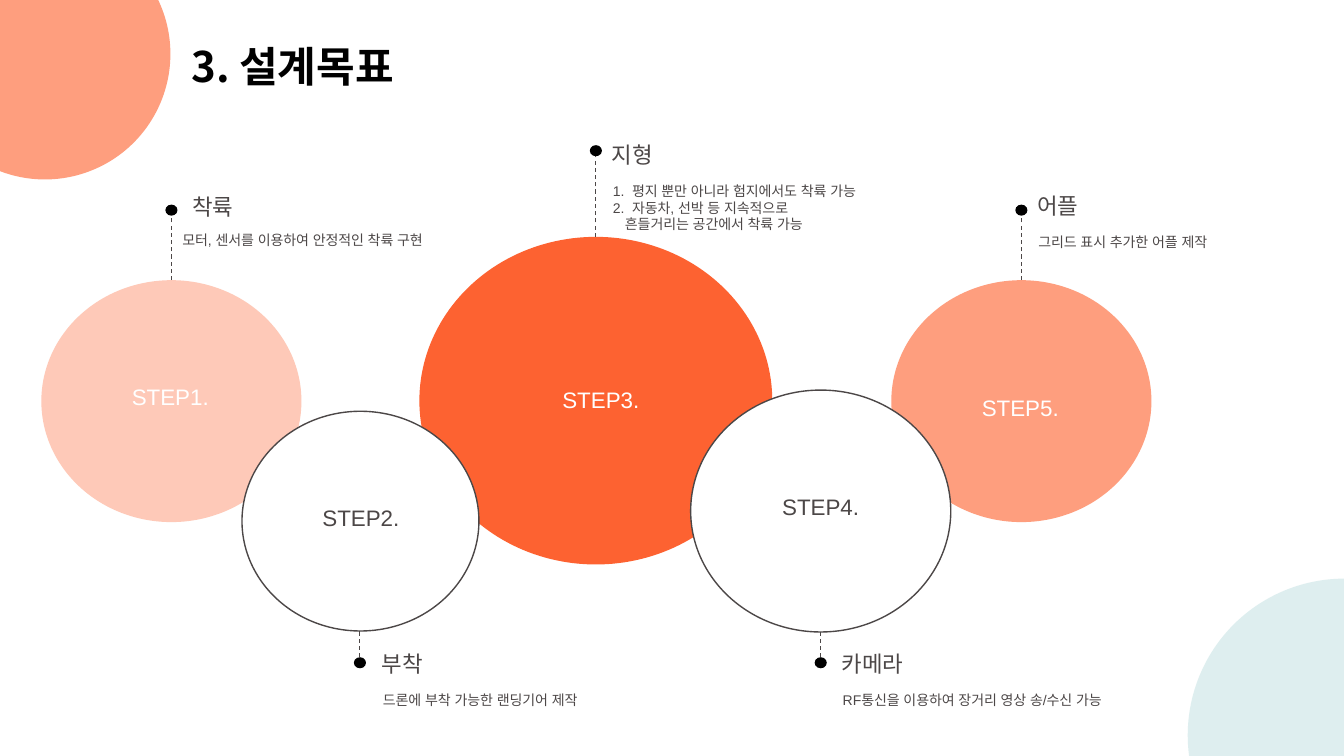
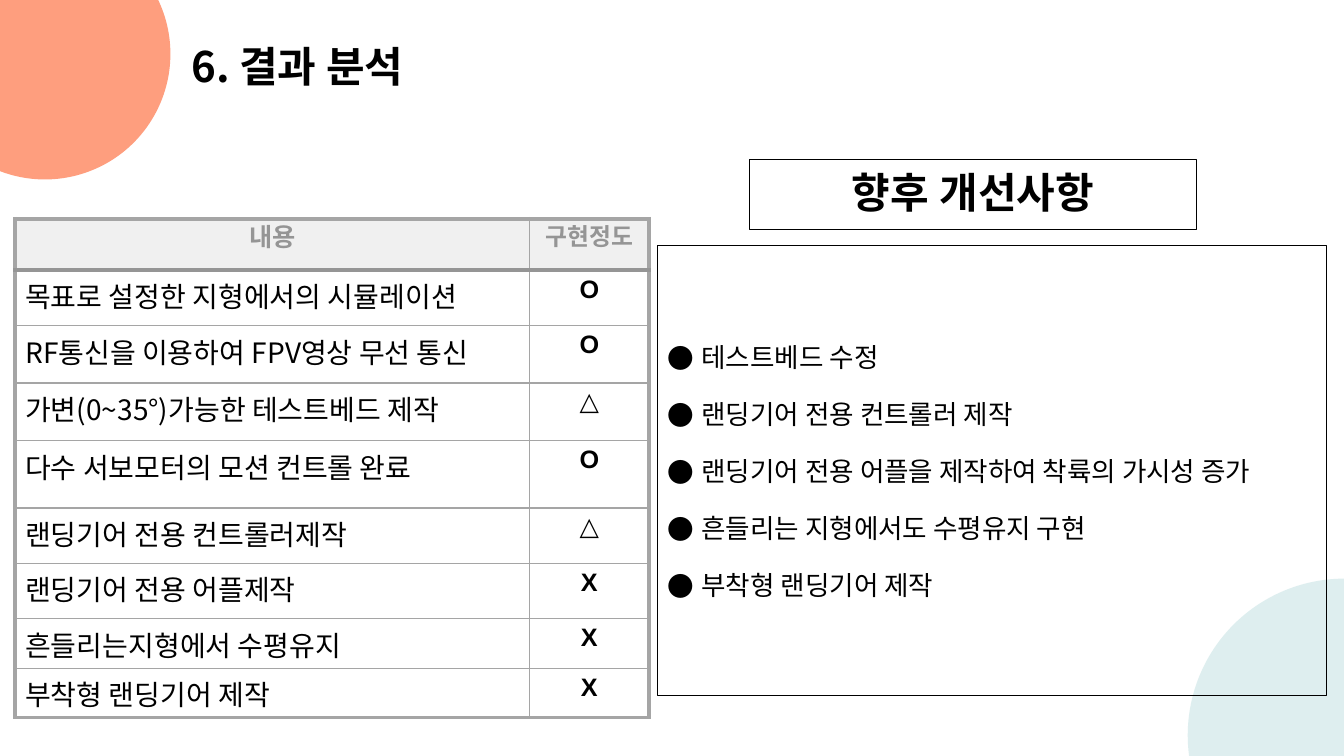
from dataclasses import dataclass

from lxml.etree import SubElement
from pptx import Presentation
from pptx.dml.color import RGBColor
from pptx.enum.dml import MSO_LINE
from pptx.enum.shapes import MSO_CONNECTOR, MSO_SHAPE
from pptx.enum.text import MSO_ANCHOR, MSO_AUTO_SIZE, PP_ALIGN
from pptx.oxml.ns import qn
from pptx.util import Emu, Pt

EMU_PER_PX = 9144
BLACK, WHITE, INK = "000000", "FFFFFF", "4C4747"
CORAL, ORANGE, BLUSH, TEAL = "FE9E7E", "FD6231", "FEC9B8", "C8E4E5"
GRID, HEAD_INK, HEAD_FILL = "A5A5A5", "959595", "F0F0F0"
SANS, KOREAN, HEADING = "Arial", "Noto Sans CJK KR", "Roboto"

STYLES = {
    "title": {"name": KOREAN, "size": Pt(30), "bold": True},
    "heading": {"name": HEADING, "size": Pt(30), "bold": True},
    "step": {"name": SANS, "size": Pt(16)},
    "detail": {"name": SANS, "size": Pt(10)},
    "bullet": {"name": KOREAN, "size": Pt(19)},
    "head": {"name": SANS, "size": Pt(18), "bold": True},
    "head_small": {"name": SANS, "size": Pt(17), "bold": True},
    "item": {"name": KOREAN, "size": Pt(20), "bold": False},
    "mark": {"name": SANS, "size": Pt(18), "bold": True},
}


@dataclass(frozen=True)
class Box:
    x: int
    y: int
    w: int
    h: int


@dataclass(frozen=True)
class Para:
    text: str
    margin: int = 0
    indent: int = 0
    number: int = 0
    bullet: str = ""


@dataclass(frozen=True)
class Step:
    label: str
    circle: Box
    fill: str
    label_x: int
    label_y: int
    dot_y: int
    name: str
    name_x: int
    name_y: int
    detail: Box
    paras: tuple[Para, ...]

    @property
    def outlined(self):
        return self.fill == WHITE

    @property
    def below(self):
        return self.dot_y > self.circle.y


STEPS = (
    Step("STEP1.", Box(41, 278, 258, 240), BLUSH, 106, 375, 203, "착륙", 181, 187,
         Box(171, 225, 355, 26), (Para("모터, 센서를 이용하여 안정적인 착륙 구현"),)),
    Step("STEP3.", Box(416, 235, 350, 325), ORANGE, 533, 378, 144, "지형", 597, 135,
         Box(598, 176, 352, 60),
         (Para("평지 뿐만 아니라 험지에서도 착륙 가능", 19, -19, 1),
          Para("자동차, 선박 등 지속적으로", 19, -19, 2),
          Para("흔들거리는 공간에서 착륙 가능", 12))),
    Step("STEP5.", Box(884, 278, 258, 240), CORAL, 949, 386, 203, "어플", 1019, 186,
         Box(1020, 227, 257, 27), (Para("그리드 표시 추가한 어플 제작"),)),
    Step("STEP2.", Box(240, 408, 235, 218), WHITE, 295, 495, 652, "부착", 369, 640,
         Box(370, 681, 293, 26), (Para("드론에 부착 가능한 랜딩기어 제작"),)),
    Step("STEP4.", Box(685, 387, 258, 240), WHITE, 751, 484, 652, "카메라", 825, 640,
         Box(826, 681, 379, 26), (Para("RF통신을 이용하여 장거리 영상 송/수신 가능"),)),
)

RESULTS = (
    ("내용", "구현정도", 51),
    ("목표로 설정한 지형에서의 시뮬레이션", "O", 55),
    ("RF통신을 이용하여 FPV영상 무선 통신", "O", 57),
    ("가변(0~35°)가능한 테스트베드 제작", "△", 57),
    ("다수 서보모터의 모션 컨트롤 완료", "O", 67),
    ("랜딩기어 전용 컨트롤러제작", "△", 55),
    ("랜딩기어 전용 어플제작", "X", 55),
    ("흔들리는지형에서 수평유지", "X", 49),
    ("부착형 랜딩기어 제작", "X", 49),
)

IMPROVEMENTS = (
    "테스트베드 수정",
    "랜딩기어 전용 컨트롤러 제작",
    "랜딩기어 전용 어플을 제작하여 착륙의 가시성 증가",
    "흔들리는 지형에서도 수평유지 구현",
    "부착형 랜딩기어 제작",
)


def px(n: int) -> Emu:
    return Emu(n * EMU_PER_PX)


def rgb(color: str) -> RGBColor:
    return RGBColor.from_string(color)


def place(box: Box) -> tuple[Emu, ...]:
    return px(box.x), px(box.y), px(box.w), px(box.h)


def write_para(p, para: Para, style: str, color: str, align=None):
    pPr = p._p.get_or_add_pPr()
    if para.margin:
        pPr.set("marL", str(px(para.margin)))
        pPr.set("indent", str(px(para.indent)))
    if para.number:
        SubElement(pPr, qn("a:buFont"), typeface=SANS)
        SubElement(pPr, qn("a:buAutoNum"), type="arabicPeriod", startAt=str(para.number))
    if para.bullet:
        SubElement(pPr, qn("a:buFont"), typeface=KOREAN)
        SubElement(pPr, qn("a:buChar"), char=para.bullet)
    p.alignment = align
    r = p.add_run()
    r.text = para.text
    for key, value in STYLES[style].items():
        setattr(r.font, key, value)
    r.font.color.rgb = rgb(color)
    SubElement(r._r.get_or_add_rPr(), qn("a:ea"), typeface=STYLES[style]["name"])


def write(tf, paras: tuple[Para, ...], style: str, color: str, align=None, gap: int = 0):
    tf.word_wrap = True
    for i, para in enumerate(paras):
        p = tf.add_paragraph() if i else tf.paragraphs[0]
        write_para(p, para, style, color, align)
        if i and gap:
            p.space_before = Pt(gap)


def add_text(s, box: Box, paras: tuple[Para, ...], style: str, color: str, align=None):
    tf = s.shapes.add_textbox(*place(box)).text_frame
    write(tf, paras, style, color, align)
    tf.auto_size = MSO_AUTO_SIZE.SHAPE_TO_FIT_TEXT


def add_shape(s, kind, box: Box, fill: str = "", line: str = "", width: float = 1):
    sp = s.shapes.add_shape(kind, *place(box))
    sp.shadow.inherit = False
    if fill:
        sp.fill.solid()
        sp.fill.fore_color.rgb = rgb(fill)
    else:
        sp.fill.background()
    if line:
        sp.line.color.rgb = rgb(line)
        sp.line.width = Pt(width)
    else:
        sp.line.fill.background()
    return sp


def add_leader(s, x: int, y1: int, y2: int, start):
    line = s.shapes.add_connector(MSO_CONNECTOR.STRAIGHT, px(x), px(y1), px(x), px(y2))
    line.begin_connect(start, 0)
    line.line.color.rgb = rgb(INK)
    line.line.width = Pt(0.75)
    line.line.dash_style = MSO_LINE.DASH
    SubElement(line._element.spPr, qn("a:effectLst"))


def add_slide(prs, title: str):
    s = prs.slides.add_slide(prs.slide_layouts[6])
    add_shape(s, MSO_SHAPE.OVAL, Box(-80, -71, 249, 249), CORAL)
    corner = add_shape(s, MSO_SHAPE.OVAL, Box(1178, 574, 311, 311), TEAL)
    clr = corner._element.spPr.find(qn("a:solidFill"))[0]
    SubElement(clr, qn("a:alpha"), val="60000")
    add_text(s, Box(180, 35, 339, 60), (Para(title),), "title", BLACK)
    return s


def add_goals(prs):
    s = add_slide(prs, "3. 설계목표")
    circles = [add_shape(s, MSO_SHAPE.OVAL, st.circle, st.fill, INK if st.outlined else "")
               for st in STEPS]
    for st, circle in zip(STEPS, circles):
        c = st.circle
        mid = c.x + c.w // 2
        dot = add_shape(s, MSO_SHAPE.OVAL, Box(mid - 6, st.dot_y, 12, 11), BLACK)
        if st.below:
            add_leader(s, mid, st.dot_y, c.y + c.h, dot)
        else:
            add_leader(s, mid, c.y, st.dot_y + 11, circle)
        add_text(s, Box(st.label_x, st.label_y, 126, 36), (Para(st.label),), "step",
                 INK if st.outlined else WHITE, PP_ALIGN.CENTER)
        add_text(s, Box(st.name_x, st.name_y, 111, 36), (Para(st.name),), "step", INK)
        add_text(s, st.detail, st.paras, "detail", INK)


def set_border(cell, side: str, color: str, width: float):
    ln = SubElement(cell._tc.get_or_add_tcPr(), qn(f"a:{side}"), w=str(Pt(width)))
    SubElement(SubElement(ln, qn("a:solidFill")), qn("a:srgbClr"), val=color)


def add_results(s):
    widths = (510, 119)
    heights = [row[2] for row in RESULTS]
    box = Box(15, 217, sum(widths), sum(heights))
    table = s.shapes.add_table(len(RESULTS), len(widths), *place(box)).table
    table.first_row = table.horz_banding = False
    for col, w in zip(table.columns, widths):
        col.width = px(w)
    last = len(RESULTS) - 1
    thin, thick, rule = (GRID, 1), (GRID, 3.15), (HEAD_INK, 2.79)
    for i, (item, mark, height) in enumerate(RESULTS):
        table.rows[i].height = px(height)
        for j, text in enumerate((item, mark)):
            cell = table.cell(i, j)
            borders = {
                "lnL": thin if j else thick,
                "lnR": thick if j else thin,
                "lnT": {0: thick, 1: rule}.get(i, thin),
                "lnB": {0: rule, last: thick}.get(i, thin),
            }
            for side, (color, width) in borders.items():
                set_border(cell, side, color, width)
            cell.fill.solid()
            cell.fill.fore_color.rgb = rgb(WHITE if i else HEAD_FILL)
            style = (("item", "mark") if i else ("head", "head_small"))[j]
            align = PP_ALIGN.LEFT if i and not j else PP_ALIGN.CENTER
            write(cell.text_frame, (Para(text),), style, BLACK if i else HEAD_INK, align)


def add_analysis(prs):
    s = add_slide(prs, "6. 결과 분석")
    add_results(s)
    head = add_shape(s, MSO_SHAPE.RECTANGLE, Box(743, 158, 444, 70), "", BLACK, 0.75)
    write(head.text_frame, (Para("향후 개선사항"),), "heading", BLACK, PP_ALIGN.CENTER)
    head.text_frame.paragraphs[0].line_spacing = 0.9
    body = add_shape(s, MSO_SHAPE.RECTANGLE, Box(652, 244, 664, 446), "", BLACK, 0.75)
    paras = tuple(Para(text, 34, -34, bullet="●") for text in IMPROVEMENTS)
    write(body.text_frame, paras, "bullet", BLACK, PP_ALIGN.LEFT, 18)
    for sp in (head, body):
        sp.text_frame.vertical_anchor = MSO_ANCHOR.MIDDLE


def main():
    prs = Presentation()
    prs.slide_width, prs.slide_height = px(1333), px(750)
    add_goals(prs)
    add_analysis(prs)
    prs.save("out.pptx")


if __name__ == "__main__":
    main()
